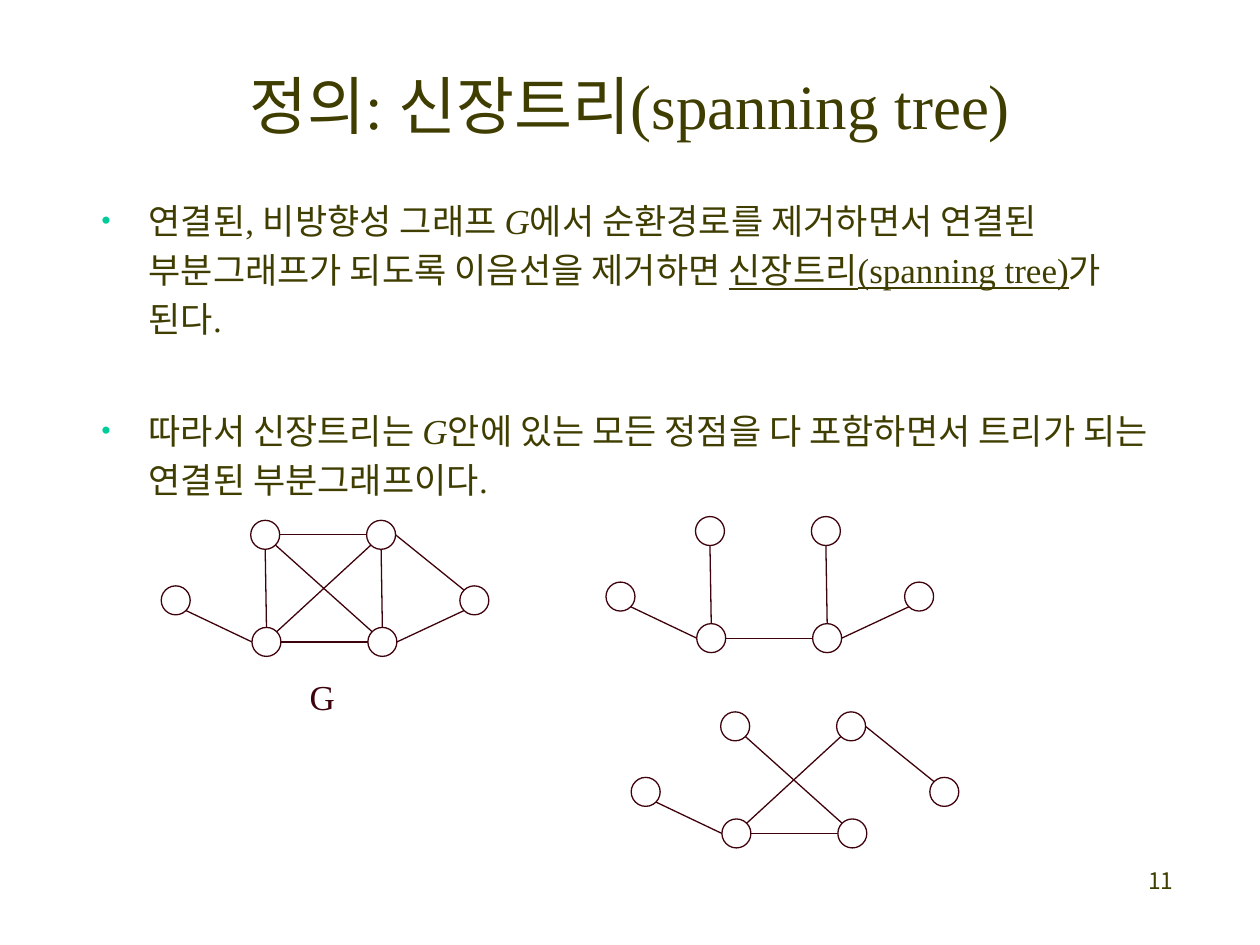
from dataclasses import dataclass

from lxml import etree
from pptx import Presentation
from pptx import util as u
from pptx.dml.color import RGBColor
from pptx.enum import shapes, text
from pptx.oxml import ns


@dataclass(frozen=True)
class Theme:
    ink: str = "3F3E00"
    graph: str = "3E020C"
    bullet: str = "00CC99"
    paper: str = "FFFFFF"
    latin: str = "Times New Roman"
    korean: str = "Noto Sans CJK KR"
    title: int = 36
    body: int = 20
    number: int = 13
    leading: int = 28
    paragraph_gap: int = 36
    stroke: float = 0.75


NODE_W, NODE_H = 0.23, 0.23
NODES = {
    "left": (0, 0.52),
    "top_left": (0.71, 0),
    "top_right": (1.63, 0),
    "bottom_left": (0.72, 0.85),
    "bottom_right": (1.64, 0.85),
    "right": (2.37, 0.52),
}
SITES = {
    "n": (0.5, 0), "s": (0.5, 1), "w": (0, 0.5), "e": (1, 0.5),
    "nw": (0.15, 0.15), "ne": (0.85, 0.15), "sw": (0.15, 0.85), "se": (0.85, 0.85),
}
EDGES = {
    "tail": ("left", "se", "bottom_left", "w"),
    "top": ("top_left", "e", "top_right", "w"),
    "bottom": ("bottom_left", "e", "bottom_right", "w"),
    "left_side": ("top_left", "s", "bottom_left", "n"),
    "right_side": ("top_right", "s", "bottom_right", "n"),
    "falling": ("top_left", "se", "bottom_right", "nw"),
    "rising": ("bottom_left", "ne", "top_right", "sw"),
    "upper_tip": ("top_right", "e", "right", "nw"),
    "lower_tip": ("right", "sw", "bottom_right", "e"),
}


def add_run(p, content, *, size, color, latin, korean, italic=False, underline=False):
    r = p.add_run()
    r.text = content
    r.font.size = u.Pt(size)
    r.font.name = latin
    r.font.italic = italic
    r.font.underline = underline
    r.font.color.rgb = RGBColor.from_string(color)
    ea = etree.SubElement(r.font._element, ns.qn("a:ea"))
    ea.set("typeface", korean)
    r.font._element.find(ns.qn("a:latin")).addnext(ea)
    return r


class Deck:
    def __init__(self, theme):
        self.theme = theme
        self.prs = Presentation()
        self.prs.slide_width = u.Inches(10)
        self.prs.slide_height = u.Inches(7.5)
        self.s = None

    def slide(self):
        self.s = self.prs.slides.add_slide(self.prs.slide_layouts[1])
        fill = self.s.background.fill
        fill.solid()
        fill.fore_color.rgb = RGBColor.from_string(self.theme.paper)

    def style(self, size, **changes):
        t = self.theme
        return {"size": size, "color": t.ink, "latin": t.latin, "korean": t.korean} | changes

    def place(self, sp, box, anchor):
        sp.left, sp.top, sp.width, sp.height = map(u.Inches, box)
        tf = sp.text_frame
        tf.word_wrap = True
        tf.auto_size = text.MSO_AUTO_SIZE.NONE
        tf.vertical_anchor = anchor
        return tf

    def title(self, content, box):
        tf = self.place(self.s.shapes.title, box, text.MSO_ANCHOR.MIDDLE)
        p = tf.paragraphs[0]
        p.alignment = text.PP_ALIGN.CENTER
        add_run(p, content, **self.style(self.theme.title))

    def bullet(self, p):
        pPr = p._p.get_or_add_pPr()
        pPr.set("marL", str(u.Inches(0.38)))
        pPr.set("indent", str(u.Inches(-0.38)))
        color = etree.SubElement(pPr, ns.qn("a:buClr"))
        etree.SubElement(color, ns.qn("a:srgbClr")).set("val", self.theme.bullet)
        etree.SubElement(pPr, ns.qn("a:buSzPct")).set("val", "85000")
        etree.SubElement(pPr, ns.qn("a:buFont")).set("typeface", self.theme.latin)
        etree.SubElement(pPr, ns.qn("a:buChar")).set("char", "•")

    def body(self, items, box):
        tf = self.place(self.s.placeholders[1], box, text.MSO_ANCHOR.TOP)
        for i, runs in enumerate(items):
            p = tf.paragraphs[0] if i == 0 else tf.add_paragraph()
            p.line_spacing = u.Pt(self.theme.leading)
            p.space_before = u.Pt(self.theme.paragraph_gap if i else 0)
            self.bullet(p)
            for content, marks in runs:
                add_run(p, content, **self.style(self.theme.body, **marks))

    def page_number(self, content, box):
        sp = self.s.shapes.add_textbox(*map(u.Inches, box))
        p = self.place(sp, box, text.MSO_ANCHOR.TOP).paragraphs[0]
        p.alignment = text.PP_ALIGN.RIGHT
        add_run(p, content, **self.style(self.theme.number, latin=self.theme.korean))

    def outline(self, sp):
        sp.line.color.rgb = RGBColor.from_string(self.theme.graph)
        sp.line.width = u.Pt(self.theme.stroke)

    def node(self, group, x, y):
        box = map(u.Inches, (x, y, NODE_W, NODE_H))
        sp = group.shapes.add_shape(shapes.MSO_SHAPE.OVAL, *box)
        sp.shadow.inherit = False
        sp.fill.background()
        self.outline(sp)

    def edge(self, group, start, end):
        line = group.shapes.add_connector(
            shapes.MSO_CONNECTOR.STRAIGHT, *map(u.Inches, start + end))
        self.outline(line)
        etree.SubElement(line._element.spPr, ns.qn("a:effectLst"))

    def graph(self, x, y, edges):
        def site(node, side):
            (nx, ny), (fx, fy) = NODES[node], SITES[side]
            return x + nx + fx * NODE_W, y + ny + fy * NODE_H

        group = self.s.shapes.add_group_shape()
        for nx, ny in NODES.values():
            self.node(group, x + nx, y + ny)
        for name in edges:
            a, a_side, b, b_side = EDGES[name]
            self.edge(group, site(a, a_side), site(b, b_side))
        return group

    def label(self, group, content, box):
        sp = group.shapes.add_textbox(*map(u.Inches, box))
        tf = sp.text_frame
        tf.word_wrap = False
        p = tf.paragraphs[0]
        p.line_spacing = 0.9
        add_run(p, content, **self.style(self.theme.body, color=self.theme.graph))


def main():
    deck = Deck(Theme())
    deck.slide()
    deck.title("정의: 신장트리(spanning tree)", (0.75, 0.33, 8.5, 0.99))
    deck.body([
        [("연결된, 비방향성 그래프 ", {}),
         ("G", {"italic": True}),
         ("에서 순환경로를 제거하면서 연결된 부분그래프가 되도록 이음선을 제거하면 ", {}),
         ("신장트리(spanning tree)", {"underline": True}),
         ("가 된다.", {})],
        [("따라서 신장트리는 ", {}),
         ("G", {"italic": True}),
         ("안에 있는 모든 정점을 다 포함하면서 트리가 되는 연결된 부분그래프이다.", {})],
    ], (0.7, 1.48, 8.58, 2.45))
    deck.page_number("11", (7.33, 6.83, 2.08, 0.5))

    full = deck.graph(1.28, 4.13, EDGES)
    deck.label(full, "G", (2.36, 5.35, 0.4, 0.4))
    deck.graph(4.81, 4.1, ("tail", "bottom", "left_side", "right_side", "lower_tip"))
    deck.graph(5.01, 5.65, ("tail", "bottom", "falling", "rising", "upper_tip"))
    deck.prs.save("out.pptx")


if __name__ == "__main__":
    main()
